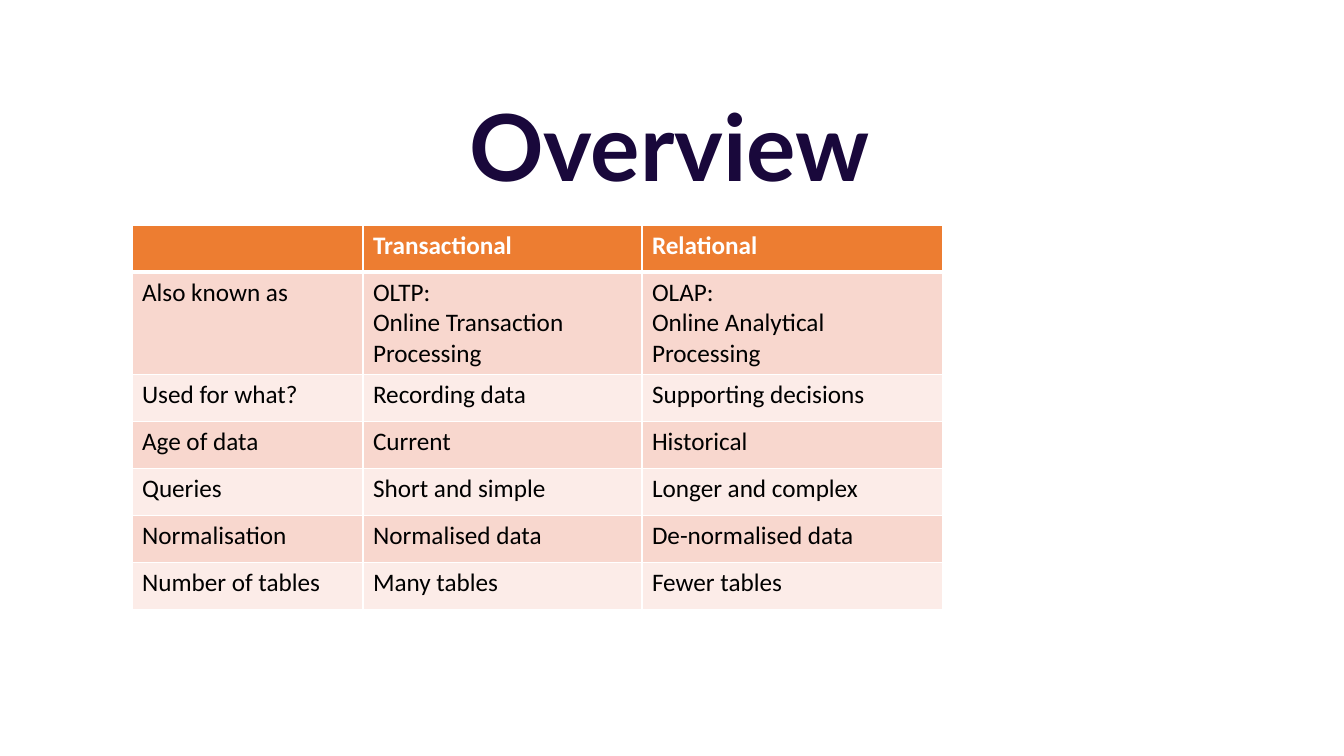
from lxml import etree
from pptx import Presentation
from pptx import util as u
from pptx.dml.color import RGBColor
from pptx.enum import text
from pptx.oxml.ns import qn

PX = 914400 / 100.8
COLORS = {
    "title": "19083B",
    "header": "ED7D31",
    "band_dark": "F8D7CE",
    "band_light": "FCECE8",
    "white": "FFFFFF",
    "black": "000000",
}
COL_WIDTHS = [231, 279, 301]
ROW_HEIGHT = 47
TALL_ROW, TALL_HEIGHT = 1, 102
ROWS = [
    ["", "Transactional", "Relational"],
    ["Also known as", "OLTP: \vOnline Transaction Processing",
     "OLAP: \vOnline Analytical Processing"],
    ["Used for what?", "Recording data", "Supporting decisions"],
    ["Age of data", "Current", "Historical"],
    ["Queries", "Short and simple", "Longer and complex"],
    ["Normalisation", "Normalised data", "De-normalised data"],
    ["Number of tables", "Many tables", "Fewer tables"],
]


def px(n):
    return u.Emu(round(n * PX))


def rgb(name):
    return RGBColor.from_string(COLORS[name])


def style_font(font, name, size, color, bold):
    font.name = name
    font.size = u.Pt(size)
    font.bold = bold
    font.color.rgb = rgb(color)


def add_title(s, title, x, y, w, h):
    sp = s.shapes.title
    sp.left, sp.top, sp.width, sp.height = px(x), px(y), px(w), px(h)
    tf = sp.text_frame
    tf.text = title
    tf.word_wrap = True
    tf.auto_size = text.MSO_AUTO_SIZE.NONE
    tf.vertical_anchor = text.MSO_ANCHOR.BOTTOM
    p = tf.paragraphs[0]
    p.alignment = text.PP_ALIGN.LEFT
    p.line_spacing = 0.9
    style_font(p.runs[0].font, "Lato", 66, "title", True)


def add_border(cell, side, points):
    ln = etree.SubElement(cell._tc.get_or_add_tcPr(), qn(f"a:ln{side}"), w=str(u.Pt(points)))
    fill = etree.SubElement(ln, qn("a:solidFill"))
    etree.SubElement(fill, qn("a:srgbClr"), val=COLORS["white"])


def style_cell(cell, row, value):
    header = row == 0
    for side in "LRTB":
        thick = (row, side) in {(0, "B"), (1, "T")}
        add_border(cell, side, 3 if thick else 1)
    band = "header" if header else "band_dark" if row % 2 else "band_light"
    cell.fill.solid()
    cell.fill.fore_color.rgb = rgb(band)
    p = cell.text_frame.paragraphs[0]
    p.text = value
    color = "white" if header else "black"
    style_font(p.font, "Calibri", 18, color, header)
    for r in p.runs:
        style_font(r.font, "Calibri", 18, color, header)


def add_table(s, rows, x, y):
    heights = [TALL_HEIGHT if i == TALL_ROW else ROW_HEIGHT for i in range(len(rows))]
    table = s.shapes.add_table(len(rows), len(COL_WIDTHS), px(x), px(y),
                               px(sum(COL_WIDTHS)), px(sum(heights))).table
    for col, width in zip(table.columns, COL_WIDTHS):
        col.width = px(width)
    for i, values in enumerate(rows):
        table.rows[i].height = px(heights[i])
        for j, value in enumerate(values):
            style_cell(table.cell(i, j), i, value)


def main():
    prs = Presentation()
    prs.slide_width, prs.slide_height = px(1344), px(756)
    s = prs.slides.add_slide(prs.slide_layouts[5])
    add_title(s, "Overview", 459, 87, 613, 120)
    add_table(s, ROWS, 132, 225)
    prs.save("out.pptx")


if __name__ == "__main__":
    main()
